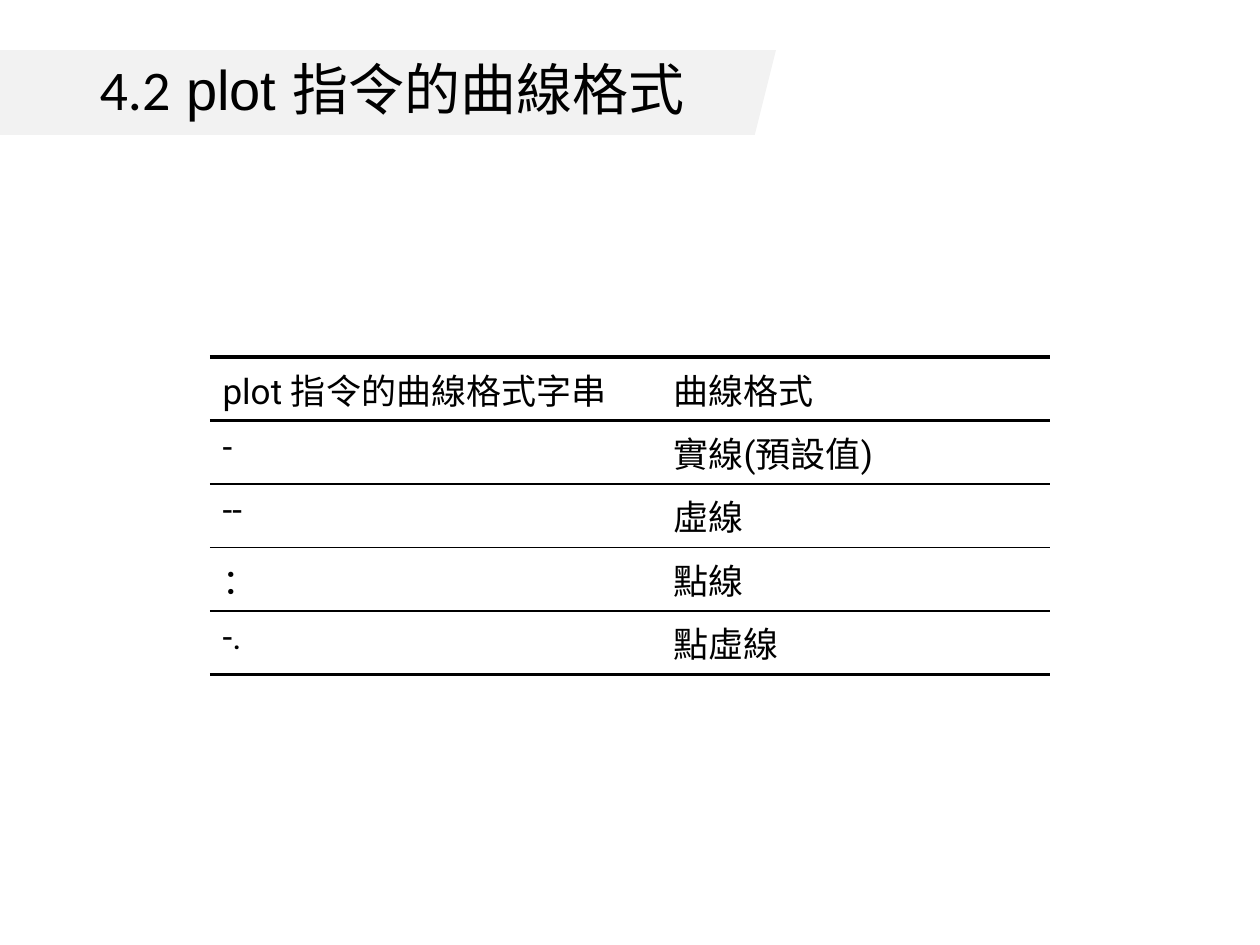
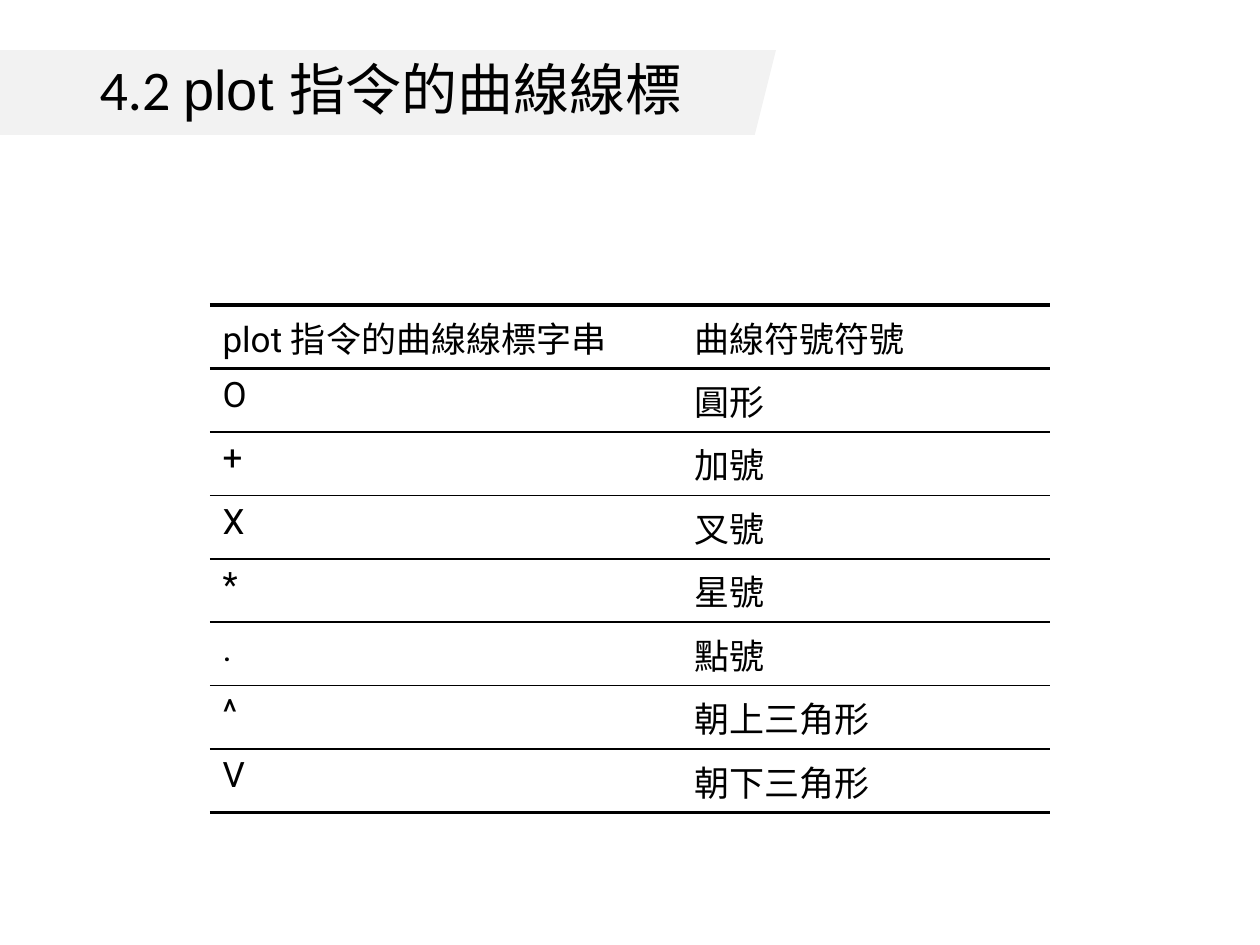
from lxml import etree
from pptx import Presentation
from pptx import util as u
from pptx.dml.color import RGBColor
from pptx.enum import shapes, text
from pptx.oxml import ns

COLOURS = {"text": "000000", "rule": "000000", "band": "F2F2F2"}
FONTS = {"number": "Calibri", "title": "Arial", "table": "Roboto"}
THICK, THIN = 2.25, 1
BAND_BOX = (-24, 50, 800, 85)
TITLE_BOX = (87, 50, 704, 85)

SLIDES = [
    {
        "title": ("4.2", " plot 指令的曲線格式"),
        "origin": (210, 357),
        "columns": (451, 389),
        "row_height": 59,
        "rows": [
            ("plot 指令的曲線格式字串", "曲線格式"),
            ("-", "實線(預設值)"),
            ("--", "虛線"),
            ("：", "點線"),
            ("-.", "點虛線"),
        ],
    },
    {
        "title": ("4.2 ", "plot 指令的曲線線標"),
        "origin": (210, 305),
        "columns": (472, 368),
        "row_height": 58,
        "rows": [
            ("plot 指令的曲線線標字串", "曲線符號符號"),
            ("O", "圓形"),
            ("+", "加號"),
            ("X", "叉號"),
            ("*", "星號"),
            (".", "點號"),
            ("^", "朝上三角形"),
            ("V", "朝下三角形"),
        ],
    },
]


def px(length):
    return u.Emu(length * 914400 // 126)


def colour(name):
    return RGBColor.from_string(COLOURS[name])


def add_band(slide, box):
    """Draw the title band and hand it to the layout, behind its placeholders."""
    band = slide.shapes.add_shape(shapes.MSO_SHAPE.PARALLELOGRAM, *map(px, box))
    band.shadow.inherit = False
    band.fill.solid()
    band.fill.fore_color.rgb = colour("band")
    band.line.fill.background()
    slide.slide_layout.shapes._spTree.insert(2, band._element)


def fill_title(slide, box, parts):
    title = slide.shapes.title
    title.left, title.top, title.width, title.height = map(px, box)
    frame = title.text_frame
    frame.auto_size = text.MSO_AUTO_SIZE.NONE
    frame.vertical_anchor = text.MSO_ANCHOR.MIDDLE
    paragraph = frame.paragraphs[0]
    paragraph.alignment = text.PP_ALIGN.LEFT
    paragraph.line_spacing = 0.9
    paragraph.font.size = u.Pt(32)
    paragraph.font.color.rgb = colour("text")
    for part, font in zip(parts, ("number", "title")):
        run = paragraph.add_run()
        run.text = part
        run.font.name = FONTS[font]


def set_borders(cell, top, bottom):
    """Rule the cell above and below only; widths are in points."""
    properties = cell._tc.get_or_add_tcPr()
    sides = (("lnL", 0), ("lnR", 0), ("lnT", top), ("lnB", bottom))
    for index, (side, width) in enumerate(sides):
        line = etree.Element(ns.qn(f"a:{side}"), w=str(u.Pt(width)))
        if width:
            fill = etree.SubElement(line, ns.qn("a:solidFill"))
            etree.SubElement(fill, ns.qn("a:srgbClr"), val=COLOURS["rule"])
        else:
            etree.SubElement(line, ns.qn("a:noFill"))
        properties.insert(index, line)


def fill_cell(cell, words):
    cell.fill.background()
    cell.text = words
    paragraph = cell.text_frame.paragraphs[0]
    paragraph.font.name = FONTS["table"]
    paragraph.font.size = u.Pt(20)
    paragraph.font.color.rgb = colour("text")
    # Space before, as a share of the text size
    paragraph.space_before = u.Pt(0)
    spacing = paragraph._p.pPr.find(ns.qn("a:spcBef"))
    spacing.remove(spacing[0])
    etree.SubElement(spacing, ns.qn("a:spcPct"), val="20000")


def add_format_table(slide, origin, columns, row_height, rows):
    size = (sum(columns), row_height * len(rows))
    table = slide.shapes.add_table(
        len(rows), len(columns), *map(px, origin + size)).table
    table.first_row = table.horz_banding = False
    for column, width in zip(table.columns, columns):
        column.width = px(width)
    # Thick rules above and below the header and under the last row
    rules = [THICK, THICK] + [THIN] * (len(rows) - 2) + [THICK]
    for r, row in enumerate(rows):
        table.rows[r].height = px(row_height)
        for c, words in enumerate(row):
            cell = table.cell(r, c)
            fill_cell(cell, words)
            set_borders(cell, rules[r], rules[r + 1])


def main():
    presentation = Presentation()
    presentation.slide_width, presentation.slide_height = px(1260), px(945)
    layout = presentation.slide_layouts[5]
    for number, content in enumerate(SLIDES):
        slide = presentation.slides.add_slide(layout)
        if number == 0:
            add_band(slide, BAND_BOX)
        fill_title(slide, TITLE_BOX, content["title"])
        add_format_table(slide, content["origin"], content["columns"],
                         content["row_height"], content["rows"])
    presentation.save("out.pptx")


if __name__ == "__main__":
    main()
